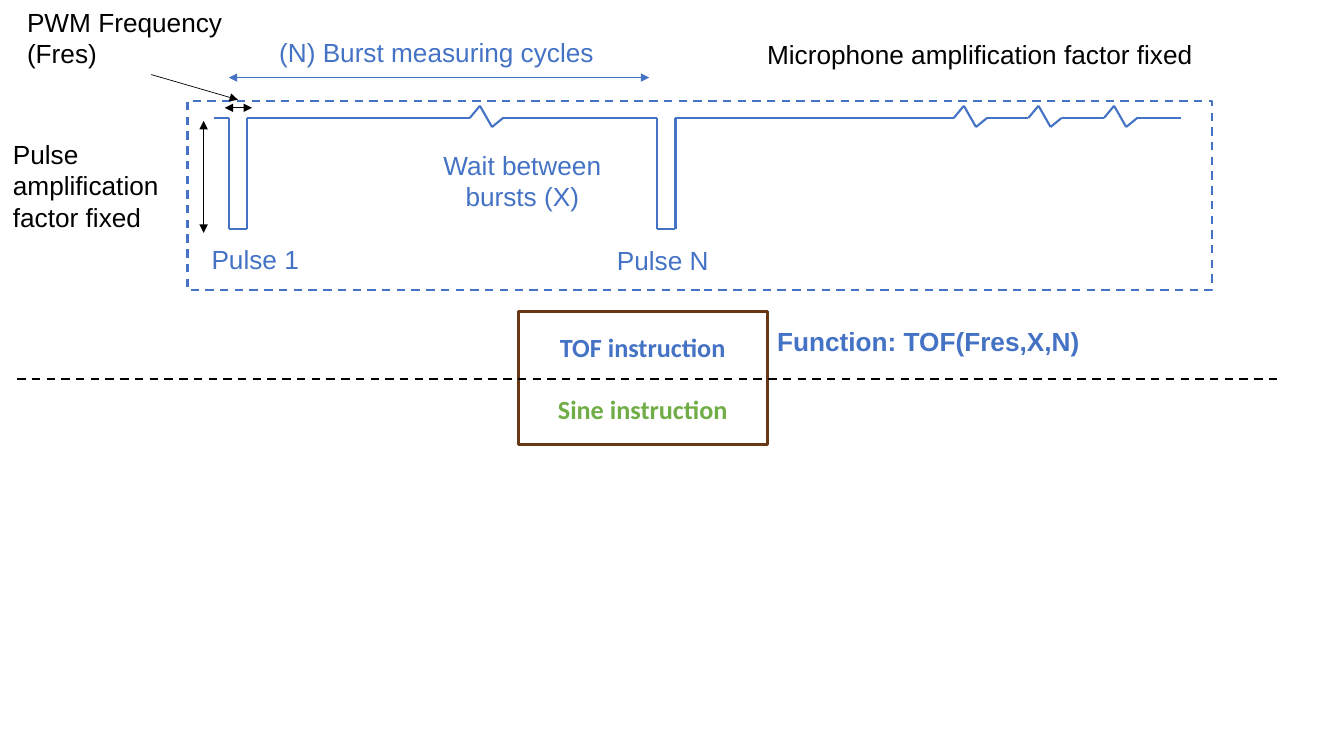
from itertools import pairwise
from lxml import etree
from pptx import Presentation
from pptx.enum import dml, shapes, text
from pptx.oxml import ns
from pptx.util import Inches, Pt

# Content
HUES = {"blue": "4472C4", "green": "70AD47", "brown": "683715",
        "black": "000000", "white": "FFFFFF"}
SIZE = 18.7

# paragraphs, left, top, width, height, hue, bold, centred, wrap
LABELS = [
    (["PWM Frequency", "(Fres)"], 0.17, 0.01, 2.66, 0.73, "black", False, False, True),
    (["(N) Burst measuring cycles"], 2.67, 0.31, 3.35, 0.42, "blue", False, False, False),
    (["Pulse 1"], 2, 2.36, 1.13, 0.42, "blue", False, False, True),
    (["Pulse N"], 6.02, 2.37, 1.29, 0.42, "blue", False, False, True),
    (["Wait between bursts (X)"], 4.02, 1.43, 2.32, 0.73, "blue", False, True, True),
    (["Function: TOF(Fres,X,N)"], 7.61, 3.18, 4.74, 0.42, "blue", True, False, True),
    (["Pulse amplification factor fixed"], 0.03, 1.32, 1.83, 1.04, "black", False, False, True),
    (["Microphone amplification factor fixed"], 7.51, 0.33, 4.44, 0.42, "black", False, False, False),
]
STEPS = [("TOF instruction", "blue"), ("Sine instruction", "green")]

# start, end, hue, arrowhead at start
ARROWS = [
    ((1.5, 0.74), (2.36, 0.99), "black", False),
    ((2.23, 1.07), (2.5, 1.07), "black", True),
    ((2.27, 0.77), (6.44, 0.77), "blue", True),
    ((2.02, 2.31), (2.02, 1.2), "black", True),
]

# Signal: flat line at BASE, with pulses, breaks and plain points along it
BASE, LOW = 1.17, 2.27
FORMS = {
    "point": [(0, 0)],
    "pulse": [(0, 0), (0, LOW - BASE), (0.18, LOW - BASE), (0.18, 0)],
    "break": [(0, 0), (0.1, -0.12), (0.22, 0.09), (0.33, 0)],
}
SIGNAL = [("point", 2.12), ("pulse", 2.27), ("point", 4.02), ("break", 4.66),
          ("pulse", 6.52), ("point", 8.19), ("break", 9.46), ("break", 10.2),
          ("break", 10.95), ("point", 11.71)]


def tint(font, hue, bold):
    font.size = Pt(SIZE)
    font.bold = bold
    font.color.rgb = dml_rgb(hue)


def dml_rgb(hue):
    from pptx.dml.color import RGBColor
    return RGBColor.from_string(HUES[hue])


def pen(line, hue, width, dash=False):
    line.color.rgb = dml_rgb(hue)
    line.width = Pt(width)
    if dash:
        line.dash_style = dml.MSO_LINE.DASH


def draw(start, end, hue, width, dash=False, ends=()):
    wire = slide.shapes.add_connector(
        shapes.MSO_CONNECTOR.STRAIGHT, *map(Inches, (*start, *end)))
    pen(wire.line, hue, width, dash)
    props = wire._element.spPr
    for side in ends:
        etree.SubElement(props.find(ns.qn("a:ln")), ns.qn("a:" + side), type="triangle")
    etree.SubElement(props, ns.qn("a:effectLst"))


def rect(left, top, width, height, hue, weight, dash=False):
    box = slide.shapes.add_shape(
        shapes.MSO_SHAPE.RECTANGLE, *map(Inches, (left, top, width, height)))
    box.shadow.inherit = False
    box.fill.background()
    pen(box.line, hue, weight, dash)
    return box


deck = Presentation()
deck.slide_width, deck.slide_height = Inches(13.33), Inches(7.5)
slide = deck.slides.add_slide(deck.slide_layouts[6])

# Instruction box
box = rect(5.14, 3.09, 2.47, 1.32, "brown", 2.25)
box.fill.solid()
box.fill.fore_color.rgb = dml_rgb("white")
frame = box.text_frame
frame.vertical_anchor = text.MSO_ANCHOR.MIDDLE
for n, (words, hue) in enumerate(STEPS):
    para = frame.add_paragraph() if n else frame.paragraphs[0]
    para.text = words
    para.alignment = text.PP_ALIGN.CENTER
    para.space_before = Pt(22.5 * n)
    para.font.name = "Calibri"
    tint(para.font, hue, True)

# Burst frame and divider
rect(1.86, 1, 10.16, 1.88, "blue", 1.5, dash=True)
draw((0.17, 3.76), (12.68, 3.76), "black", 1.5, dash=True)

# Signal
spots = [(x + dx, BASE + dy) for form, x in SIGNAL for dx, dy in FORMS[form]]
for start, end in pairwise(spots):
    draw(start, end, "blue", 1.5)

# Measuring arrows
for start, end, hue, both in ARROWS:
    draw(start, end, hue, 0.5, ends=("headEnd", "tailEnd") if both else ("tailEnd",))

# Labels
for lines, left, top, width, height, hue, bold, mid, wrap in LABELS:
    frame = slide.shapes.add_textbox(
        *map(Inches, (left, top, width, height))).text_frame
    frame.word_wrap = wrap
    frame.auto_size = text.MSO_AUTO_SIZE.SHAPE_TO_FIT_TEXT
    for n, words in enumerate(lines):
        para = frame.add_paragraph() if n else frame.paragraphs[0]
        para.text = words
        para.alignment = text.PP_ALIGN.CENTER if mid else text.PP_ALIGN.LEFT
        para.font.name = "Arial"
        tint(para.font, hue, bold)

deck.save("out.pptx")
